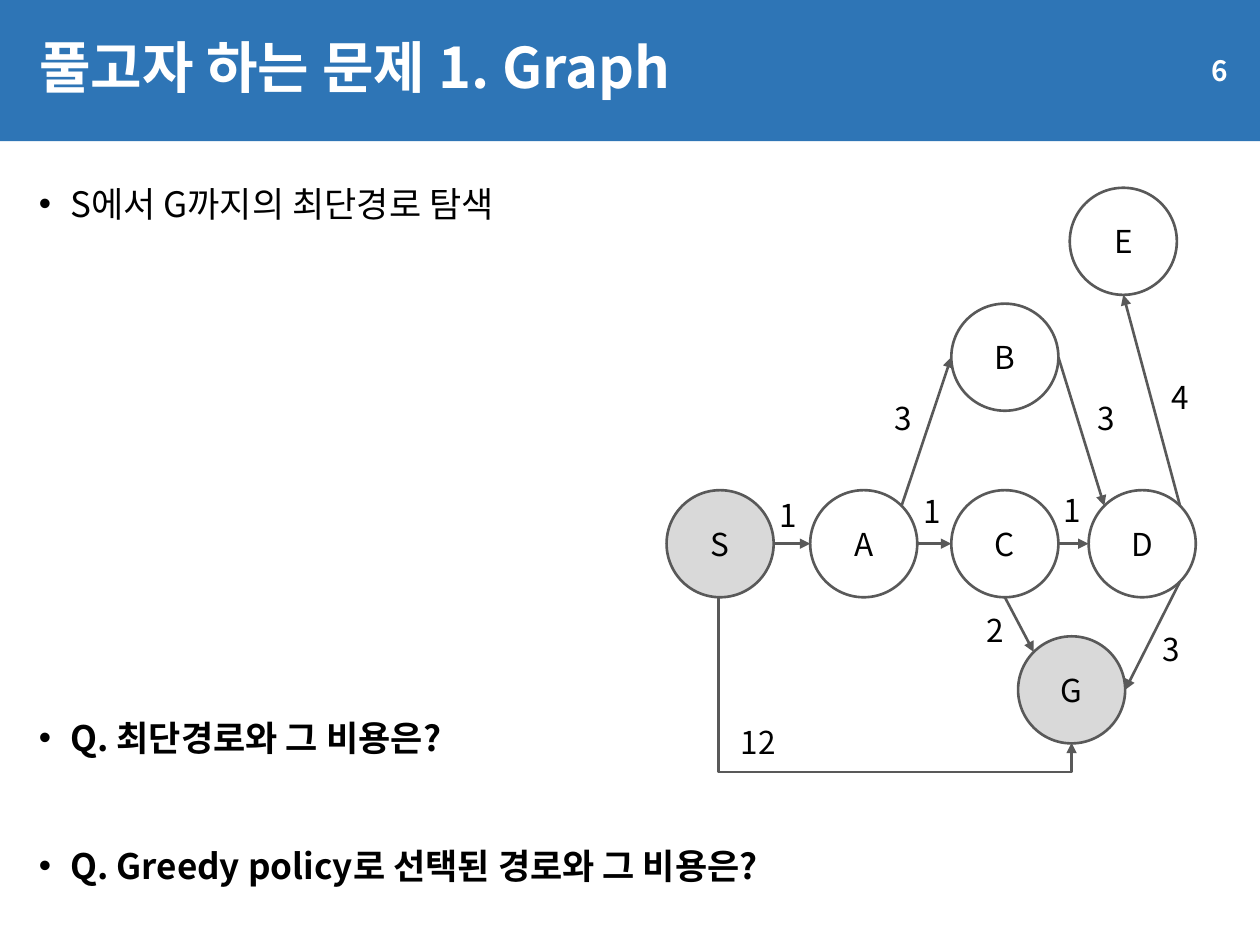
from math import sqrt

from lxml import etree
from pptx import Presentation
from pptx import util as u
from pptx.dml.color import RGBColor
from pptx.enum import shapes, text
from pptx.oxml import ns

THEME = {
    "font": "Noto Sans CJK KR",
    "blue": RGBColor.from_string("2E75B6"),
    "white": RGBColor.from_string("FFFFFF"),
    "black": RGBColor.from_string("000000"),
    "gray": RGBColor.from_string("D9D9D9"),
    "line": RGBColor.from_string("595959"),
    "title": u.Pt(32),
    "body": u.Pt(20),
    "number": u.Pt(16),
    "label": u.Pt(18),
    "stroke": u.Pt(1.5),
}


def write(paragraph, words, size, color="black", bold=False, align=text.PP_ALIGN.LEFT):
    paragraph.alignment = align
    run = paragraph.add_run()
    run.text = words
    formats = {"name": THEME["font"], "size": THEME[size], "bold": bold}
    for key, value in formats.items():
        setattr(run.font, key, value)
    run.font.color.rgb = THEME[color]
    etree.SubElement(run.font._element, ns.qn("a:ea"), typeface=THEME["font"])


def finish_arrow(connector):
    connector.line.color.rgb = THEME["line"]
    connector.line.width = THEME["stroke"]
    etree.SubElement(connector.line._get_or_add_ln(), ns.qn("a:tailEnd"), type="triangle")
    etree.SubElement(connector._element.spPr, ns.qn("a:effectLst"))


presentation = Presentation()
presentation.slide_width = u.Inches(10)
presentation.slide_height = u.Inches(7.5)
slide = presentation.slides.add_slide(presentation.slide_layouts[5])

band = slide.shapes.add_shape(
    shapes.MSO_SHAPE.RECTANGLE, 0, 0, presentation.slide_width, u.Inches(1.12))
band.shadow.inherit = False
band.fill.solid()
band.fill.fore_color.rgb = THEME["blue"]
band.line.fill.background()
slide.shapes._spTree.insert(2, band._element)

title = slide.shapes.title
title_box = {"left": 0.21, "top": 0.13, "width": 9.62, "height": 0.85}
for key, value in title_box.items():
    setattr(title, key, u.Inches(value))
title.fill.solid()
title.fill.fore_color.rgb = THEME["blue"]
title.text_frame.auto_size = text.MSO_AUTO_SIZE.NONE
title.text_frame.vertical_anchor = text.MSO_ANCHOR.MIDDLE
heading = title.text_frame.paragraphs[0]
heading.line_spacing = 0.9
write(heading, "풀고자 하는 문제 1. Graph", "title", "white", bold=True)

body = slide.shapes.add_textbox(u.Inches(0.21), u.Inches(1.4), u.Inches(9.62), u.Inches(5.94))
body.text_frame.word_wrap = True
bullets = [
    ("S에서 G까지의 최단경로 탐색", False, 0),
    ("Q. 최단경로와 그 비용은?", True, 281),
    ("Q. Greedy policy로 선택된 경로와 그 비용은?", True, 49),
]
for index, (words, bold, space) in enumerate(bullets):
    paragraph = body.text_frame.add_paragraph() if index else body.text_frame.paragraphs[0]
    properties = paragraph._p.get_or_add_pPr()
    properties.set("marL", str(u.Inches(0.25)))
    properties.set("indent", str(-u.Inches(0.25)))
    etree.SubElement(properties, ns.qn("a:buFont"), typeface="Arial")
    etree.SubElement(properties, ns.qn("a:buChar"), char="•")
    paragraph.space_before = u.Pt(space)
    write(paragraph, words, "body", bold=bold)

number = slide.shapes.add_textbox(u.Inches(8.49), u.Inches(0.36), u.Inches(1.35), u.Inches(0.4))
number.text_frame.word_wrap = True
number.text_frame.vertical_anchor = text.MSO_ANCHOR.MIDDLE
write(number.text_frame.paragraphs[0], "6", "number", "white", True, text.PP_ALIGN.RIGHT)

DIAMETER = 0.85
RADIUS = DIAMETER / 2
ROW_TOP = 3.89
nodes = {
    "S": (5.29, ROW_TOP, "gray"),
    "A": (6.43, ROW_TOP, "white"),
    "C": (7.55, ROW_TOP, "white"),
    "B": (7.55, 2.41, "white"),
    "D": (8.64, ROW_TOP, "white"),
    "G": (8.08, 5.05, "gray"),
    "E": (8.49, 1.49, "white"),
}
for name, (left, top, color) in nodes.items():
    node = slide.shapes.add_shape(
        shapes.MSO_SHAPE.OVAL, u.Inches(left), u.Inches(top),
        u.Inches(DIAMETER), u.Inches(DIAMETER))
    node.shadow.inherit = False
    node.fill.solid()
    node.fill.fore_color.rgb = THEME[color]
    node.line.color.rgb = THEME["line"]
    node.line.width = THEME["stroke"]
    node.text_frame.vertical_anchor = text.MSO_ANCHOR.MIDDLE
    write(node.text_frame.paragraphs[0], name, "label", align=text.PP_ALIGN.CENTER)

DIAGONAL = 1 / sqrt(2)
sides = {
    "top": (0, -1), "bottom": (0, 1), "left": (-1, 0), "right": (1, 0),
    "top left": (-DIAGONAL, -DIAGONAL), "top right": (DIAGONAL, -DIAGONAL),
    "bottom right": (DIAGONAL, DIAGONAL),
}
edges = [
    ("S", "right", "A", "left"),
    ("A", "right", "C", "left"),
    ("A", "top right", "B", "left"),
    ("B", "right", "D", "top left"),
    ("C", "right", "D", "left"),
    ("D", "bottom right", "G", "right"),
    ("C", "bottom", "G", "top left"),
    ("D", "top right", "E", "bottom"),
]
for start, start_side, end, end_side in edges:
    ends = []
    for name, side in ((start, start_side), (end, end_side)):
        for origin, offset in zip(nodes[name], sides[side]):
            ends.append(u.Inches(origin + RADIUS * (1 + offset)))
    finish_arrow(slide.shapes.add_connector(shapes.MSO_CONNECTOR.STRAIGHT, *ends))

detour = slide.shapes.add_connector(
    shapes.MSO_CONNECTOR.ELBOW, u.Inches(6.53), u.Inches(3.92), u.Inches(7.68), u.Inches(6.72))
transform = detour._element.spPr.find(ns.qn("a:xfrm"))
transform.set("rot", "16200000")
transform.set("flipH", "1")
geometry = detour._element.spPr.find(ns.qn("a:prstGeom"))
adjustments = geometry.find(ns.qn("a:avLst"))
etree.SubElement(adjustments, ns.qn("a:gd"), name="adj1", fmla="val 120100")
finish_arrow(detour)

costs = [
    ("1", 6.09, 3.89), ("1", 7.23, 3.86), ("3", 7, 3.12), ("4", 9.2, 2.95),
    ("1", 8.34, 3.85), ("3", 9.13, 4.95), ("2", 7.73, 4.8), ("12", 5.78, 5.69),
    ("3", 8.61, 3.12),
]
for cost, left, top in costs:
    width = 0.2 + 0.14 * len(cost)
    label = slide.shapes.add_textbox(
        u.Inches(left), u.Inches(top), u.Inches(width), u.Inches(0.4))
    label.text_frame.word_wrap = False
    label.text_frame.auto_size = text.MSO_AUTO_SIZE.SHAPE_TO_FIT_TEXT
    write(label.text_frame.paragraphs[0], cost, "label")

presentation.save("out.pptx")
